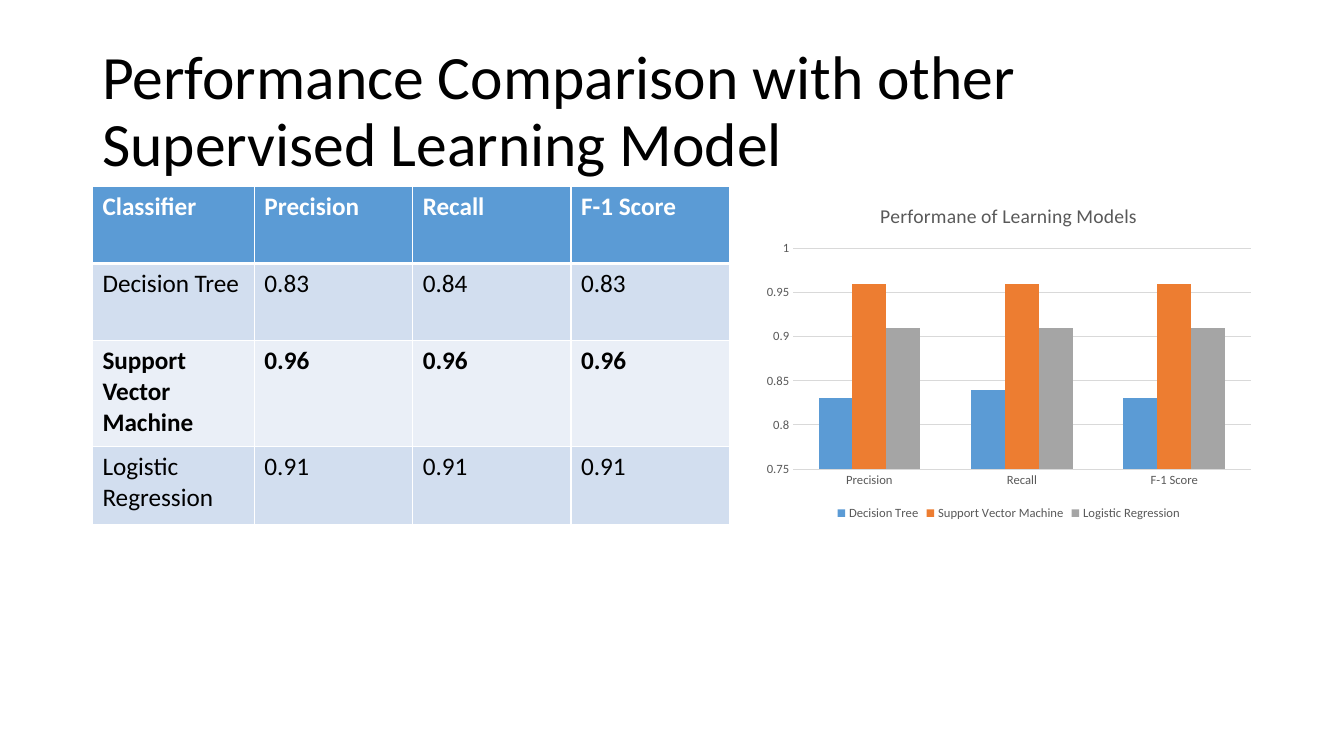
"""Build a slide comparing classifier scores in a table and a column chart."""
from lxml import etree
from pptx import Presentation
from pptx.chart.data import CategoryChartData
from pptx.dml.color import RGBColor
from pptx.enum.chart import XL_CHART_TYPE, XL_LEGEND_POSITION, XL_TICK_MARK
from pptx.enum.text import MSO_ANCHOR
from pptx.oxml.ns import qn
from pptx.util import Cm, Pt

COLUMNS = XL_CHART_TYPE.COLUMN_CLUSTERED
LEGEND_BOTTOM = XL_LEGEND_POSITION.BOTTOM
NO_TICK = XL_TICK_MARK.NONE
MIDDLE = MSO_ANCHOR.MIDDLE

FONT = "Calibri"
COLORS = {
    "black": "000000", "white": "FFFFFF", "gray text": "595959", "grid": "D9D9D9",
    "header": "5B9BD5", "odd row": "D2DEEF", "even row": "EAEFF7",
    "Decision Tree": "5B9BD5", "Support Vector Machine": "ED7D31", "Logistic Regression": "A5A5A5",
}
METRICS = ["Precision", "Recall", "F-1 Score"]
SCORES = {
    "Decision Tree": [0.83, 0.84, 0.83],
    "Support Vector Machine": [0.96, 0.96, 0.96],
    "Logistic Regression": [0.91, 0.91, 0.91],
}
BEST_MODEL = "Support Vector Machine"
LEFT, CONTENT_TOP, CONTENT_HEIGHT = Cm(2.33), Cm(4.69), Cm(8.53)


def style_font(font, size, color, bold=False):
    font.name = FONT
    font.size = Pt(size)
    font.bold = bold
    font.color.rgb = RGBColor.from_string(COLORS[color])


def add_border(cell, side, width):
    line = etree.SubElement(cell._tc.get_or_add_tcPr(), qn(f"a:ln{side}"), w=str(Pt(width)))
    fill = etree.SubElement(line, qn("a:solidFill"))
    etree.SubElement(fill, qn("a:srgbClr"), val=COLORS["white"])


presentation = Presentation()
presentation.slide_width, presentation.slide_height = Cm(33.87), Cm(19.05)
slide = presentation.slides.add_slide(presentation.slide_layouts[6])

title = slide.shapes.add_textbox(LEFT, Cm(1.01), Cm(29.21), Cm(3.68))
title.text_frame.word_wrap = True
title.text_frame.vertical_anchor = MIDDLE
title.text_frame.text = "Performance Comparison with other Supervised Learning Model"
paragraph = title.text_frame.paragraphs[0]
paragraph.line_spacing = 0.9
style_font(paragraph.runs[0].font, 44, "black")

rows = [["Classifier", *METRICS]]
rows += [[model, *map(str, values)] for model, values in SCORES.items()]
table = slide.shapes.add_table(len(rows), len(rows[0]), LEFT, CONTENT_TOP, Cm(16.05), CONTENT_HEIGHT).table
for column, width in zip(table.columns, [4.08, 3.99, 3.99, 3.99]):
    column.width = Cm(width)
for row, height in zip(table.rows, [1.95, 1.95, 2.67, 1.95]):
    row.height = Cm(height)

for row_index, texts in enumerate(rows):
    is_header = row_index == 0
    row_color = "header" if is_header else "odd row" if row_index % 2 else "even row"
    for column_index, text in enumerate(texts):
        cell = table.cell(row_index, column_index)
        cell.text_frame.text = text
        style_font(cell.text_frame.paragraphs[0].runs[0].font, 18,
                   "white" if is_header else "black", is_header or texts[0] == BEST_MODEL)
        for side in "LRTB":
            is_header_rule = (row_index, side) in [(0, "B"), (1, "T")]
            add_border(cell, side, 3 if is_header_rule else 1)
        cell.fill.solid()
        cell.fill.fore_color.rgb = RGBColor.from_string(COLORS[row_color])

chart_data = CategoryChartData(number_format="General")
chart_data.categories = METRICS
for model, values in SCORES.items():
    chart_data.add_series(model, values)
chart = slide.shapes.add_chart(COLUMNS, Cm(19.07), CONTENT_TOP, Cm(12.7), CONTENT_HEIGHT, chart_data).chart
style_font(chart.font, 10, "black")

chart.has_title = True
chart.chart_title.include_in_layout = False
chart.chart_title.text_frame.text = "Performane of Learning Models"
style_font(chart.chart_title.text_frame.paragraphs[0].runs[0].font, 14, "gray text")

chart.has_legend = True
chart.legend.position = LEGEND_BOTTOM
chart.legend.include_in_layout = False
style_font(chart.legend.font, 9, "gray text")

for axis in (chart.category_axis, chart.value_axis):
    axis.major_tick_mark = axis.minor_tick_mark = NO_TICK
    axis.format.line.fill.background()
    style_font(axis.tick_labels.font, 9, "gray text")
value_axis = chart.value_axis
value_axis.minimum_scale, value_axis.maximum_scale, value_axis.major_unit = 0.75, 1, 0.05
value_axis.major_gridlines.format.line.width = Pt(0.75)
value_axis.major_gridlines.format.line.color.rgb = RGBColor.from_string(COLORS["grid"])

plot = chart.plots[0]
plot.gap_width = 150
plot.overlap = 0
plot.vary_by_categories = False
for series in plot.series:
    series.format.fill.solid()
    series.format.fill.fore_color.rgb = RGBColor.from_string(COLORS[series.name])

presentation.save("out.pptx")
